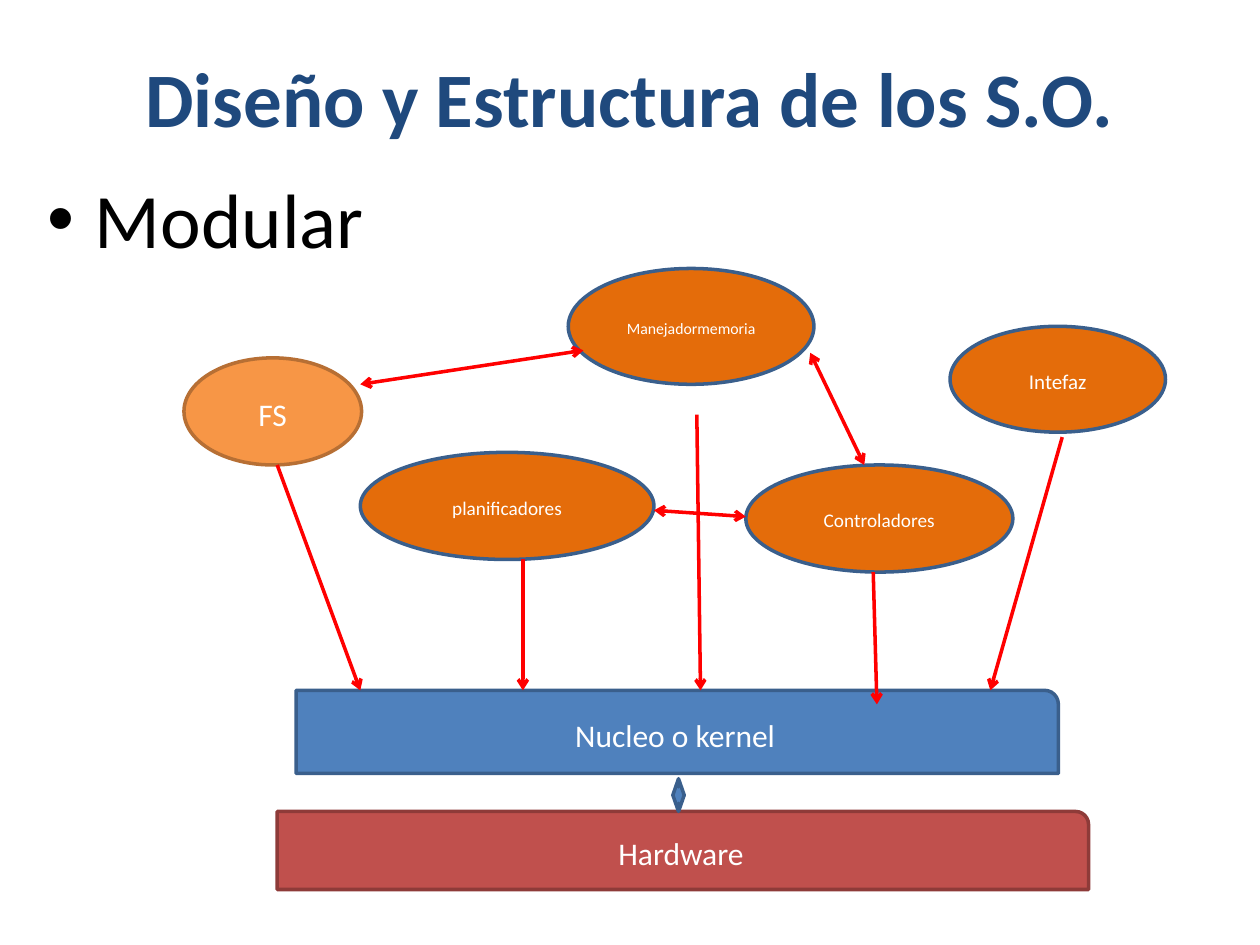
from dataclasses import dataclass

from lxml import etree
from pptx import Presentation
from pptx.dml.color import RGBColor
from pptx.enum.shapes import MSO_CONNECTOR, MSO_SHAPE
from pptx.enum.text import MSO_ANCHOR, MSO_AUTO_SIZE, PP_ALIGN
from pptx.oxml.ns import qn
from pptx.util import Pt

OVAL = MSO_SHAPE.OVAL
BAR = MSO_SHAPE.ROUND_1_RECTANGLE
ARROW = MSO_SHAPE.LEFT_RIGHT_ARROW
LINE = MSO_CONNECTOR.STRAIGHT
MID = MSO_ANCHOR.MIDDLE
FIXED = MSO_AUTO_SIZE.NONE
CENTER, LEFT = PP_ALIGN.CENTER, PP_ALIGN.LEFT
FONT = "Calibri"
TITLE_ONLY = 5

COLORS = {
    "navy": "1F497D", "black": "000000", "white": "FFFFFF",
    "blue": "4F81BD", "blue_edge": "3A5F8C",
    "brick": "C0504D", "brick_edge": "8E3B39",
    "peach": "F79646", "peach_edge": "B76F34",
    "orange": "E46C0A", "red": "FF0000",
}


@dataclass
class Node:
    kind: int
    box: tuple[float, float, float, float]
    text: str = ""
    size: float = 18
    fill: str = "orange"
    edge: str = "blue_edge"


@dataclass
class Link:
    start: tuple[float, float]
    end: tuple[float, float]
    both: bool = False


NODES = [
    Node(BAR, (169.2, 394.5, 435.6, 47.5), "Nucleo o kernel", fill="blue"),
    Node(BAR, (158.4, 463.7, 463.7, 44.6), "Hardware",
         fill="brick", edge="brick_edge"),
    Node(ARROW, (384.5, 445, 6.5, 18.7), fill="blue"),
    Node(OVAL, (105.1, 204.5, 101.5, 61.2), "FS",
         fill="peach", edge="peach_edge"),
    Node(OVAL, (205.9, 258.5, 167.8, 61.2), "planificadores", 11),
    Node(OVAL, (426.2, 265.7, 152.6, 61.2), "Controladores", 11),
    Node(OVAL, (324.7, 153.4, 140.4, 66.2), "Manejadormemoria", 9),
    Node(OVAL, (542.9, 186.5, 123.1, 60.5), "Intefaz", 12),
]

LINKS = [
    # Modules down to the kernel
    Link((398.2, 236.9), (400.3, 394.5)),
    Link((499, 326.9), (501.1, 402.5)),
    Link((607, 249.8), (565.9, 394.5)),
    Link((158.4, 265.7), (205.9, 394.5)),
    Link((298.8, 319.7), (298.8, 394.5)),
    # Between modules
    Link((373.7, 291.6), (426.2, 295.2), True),
    Link((463, 201.6), (493.9, 265.7), True),
    Link((205.9, 219.6), (333.4, 200.2), True),
]


def color(name: str) -> RGBColor:
    return RGBColor.from_string(COLORS[name])


def place(shape, box: tuple) -> None:
    shape.left, shape.top, shape.width, shape.height = map(Pt, box)


def add_run(para, text: str, size: float, hue: str, bold: bool = False) -> None:
    run = para.add_run()
    run.text = text
    font = run.font
    font.name, font.size, font.bold = FONT, Pt(size), bold
    font.color.rgb = color(hue)


def add_node(slide, node: Node) -> None:
    shape = slide.shapes.add_shape(node.kind, *map(Pt, node.box))
    shape.shadow.inherit = False
    shape.fill.solid()
    shape.fill.fore_color.rgb = color(node.fill)
    shape.line.color.rgb = color(node.edge)
    shape.line.width = Pt(2)
    if node.text:
        frame = shape.text_frame
        frame.word_wrap = True
        frame.vertical_anchor = MID
        para = frame.paragraphs[0]
        para.alignment = CENTER
        para.line_spacing = 1.15
        para.space_after = Pt(10)
        add_run(para, node.text, node.size, "white")


def add_link(slide, link: Link) -> None:
    line = slide.shapes.add_connector(
        LINE, *map(Pt, link.start + link.end))
    line.line.color.rgb = color("red")
    line.line.width = Pt(2)
    stroke = line.line._get_or_add_ln()
    for tag in ("a:headEnd", "a:tailEnd") if link.both else ("a:tailEnd",):
        etree.SubElement(stroke, qn(tag), type="arrow")
    etree.SubElement(line._element.spPr, qn("a:effectLst"))


def add_title(slide, text: str) -> None:
    title = slide.shapes.title
    place(title, (36, 21.6, 648, 67))
    frame = title.text_frame
    frame.auto_size = FIXED
    frame.word_wrap = True
    frame.vertical_anchor = MID
    para = frame.paragraphs[0]
    para.alignment = CENTER
    add_run(para, text, 44, "navy", True)


def add_point(slide, text: str) -> None:
    box = slide.shapes.add_textbox(*map(Pt, (20.2, 94.3, 674.6, 430.6)))
    box.text_frame.word_wrap = True
    para = box.text_frame.paragraphs[0]
    para.alignment = LEFT
    props = para._p.get_or_add_pPr()
    props.set("marL", str(Pt(27)))
    props.set("indent", str(Pt(-27)))
    etree.SubElement(props, qn("a:buFont"), typeface="Arial")
    etree.SubElement(props, qn("a:buChar"), char="•")
    add_run(para, text, 44, "black")


def main() -> None:
    deck = Presentation()
    deck.slide_width, deck.slide_height = Pt(720), Pt(540)
    slide = deck.slides.add_slide(deck.slide_layouts[TITLE_ONLY])

    # Heading and topic
    add_title(slide, "Diseño y Estructura de los S.O.")
    add_point(slide, "Modular")

    # Diagram
    for node in NODES:
        add_node(slide, node)
    for link in LINKS:
        add_link(slide, link)

    deck.save("out.pptx")


if __name__ == "__main__":
    main()
